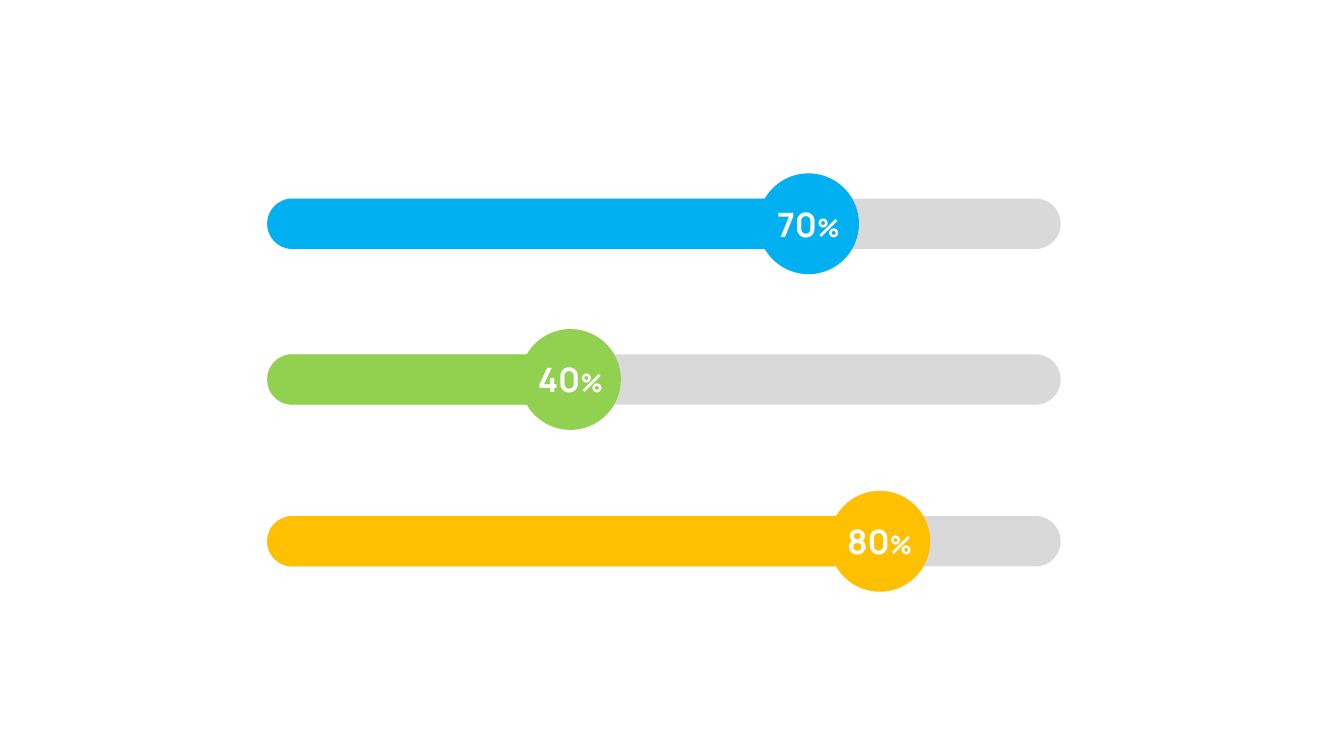
import pptx
import pptx.dml.color
import pptx.enum.shapes
import pptx.enum.text
import pptx.util

SHAPES = pptx.enum.shapes.MSO_SHAPE
SLIDE_WIDTH, SLIDE_HEIGHT = 13.33, 7.5
TRACK_LEFT, TRACK_WIDTH, TRACK_HEIGHT = 2.65, 7.87, 0.5
KNOB_SIZE = 2 * TRACK_HEIGHT
TRACK_COLOR = "D9D9D9"

# percent, colour, middle of the bar, distance from knob centre to end of bar
SLIDERS = [
    (70, "00B0F0", 2.22, 0.14),
    (40, "92D050", 3.765, 0.14),
    (80, "FFC000", 5.37, 0.22),
]


def color(hex_string):
    return pptx.dml.color.RGBColor.from_string(hex_string)


def add_filled_shape(slide, kind, left, middle, width, height, fill):
    """Add a borderless shape centred vertically on middle, in inches."""
    box = (left, middle - height / 2, width, height)
    shape = slide.shapes.add_shape(kind, *map(pptx.util.Inches, box))
    shape.shadow.inherit = False
    shape.fill.solid()
    shape.fill.fore_color.rgb = color(fill)
    shape.line.fill.background()
    return shape


def add_text(paragraph, text, *, size, font="Manrope", fill="FFFFFF", bold=True):
    run = paragraph.add_run()
    run.text = text
    run.font.name = font
    run.font.size = pptx.util.Pt(size)
    run.font.bold = bold
    run.font.color.rgb = color(fill)


def add_bar(slide, middle, width, fill):
    bar = add_filled_shape(slide, SHAPES.ROUNDED_RECTANGLE, TRACK_LEFT, middle,
                           width, TRACK_HEIGHT, fill)
    bar.adjustments[0] = 0.5


def add_knob(slide, center, middle, percent, fill):
    knob = add_filled_shape(slide, SHAPES.OVAL, center - KNOB_SIZE / 2, middle,
                            KNOB_SIZE, KNOB_SIZE, fill)
    frame = knob.text_frame
    frame.word_wrap = False
    frame.vertical_anchor = pptx.enum.text.MSO_ANCHOR.MIDDLE
    paragraph = frame.paragraphs[0]
    paragraph.alignment = pptx.enum.text.PP_ALIGN.CENTER
    add_text(paragraph, str(percent), size=24)
    add_text(paragraph, "%", size=18)


def add_slider(slide, percent, fill, middle, knob_inset):
    filled_width = TRACK_WIDTH * percent / 100
    add_bar(slide, middle, TRACK_WIDTH, TRACK_COLOR)
    add_bar(slide, middle, filled_width, fill)
    add_knob(slide, TRACK_LEFT + filled_width - knob_inset, middle, percent, fill)


def main():
    presentation = pptx.Presentation()
    presentation.slide_width = pptx.util.Inches(SLIDE_WIDTH)
    presentation.slide_height = pptx.util.Inches(SLIDE_HEIGHT)
    slide = presentation.slides.add_slide(presentation.slide_layouts[6])
    for slider in SLIDERS:
        add_slider(slide, *slider)
    presentation.save("out.pptx")


if __name__ == "__main__":
    main()
